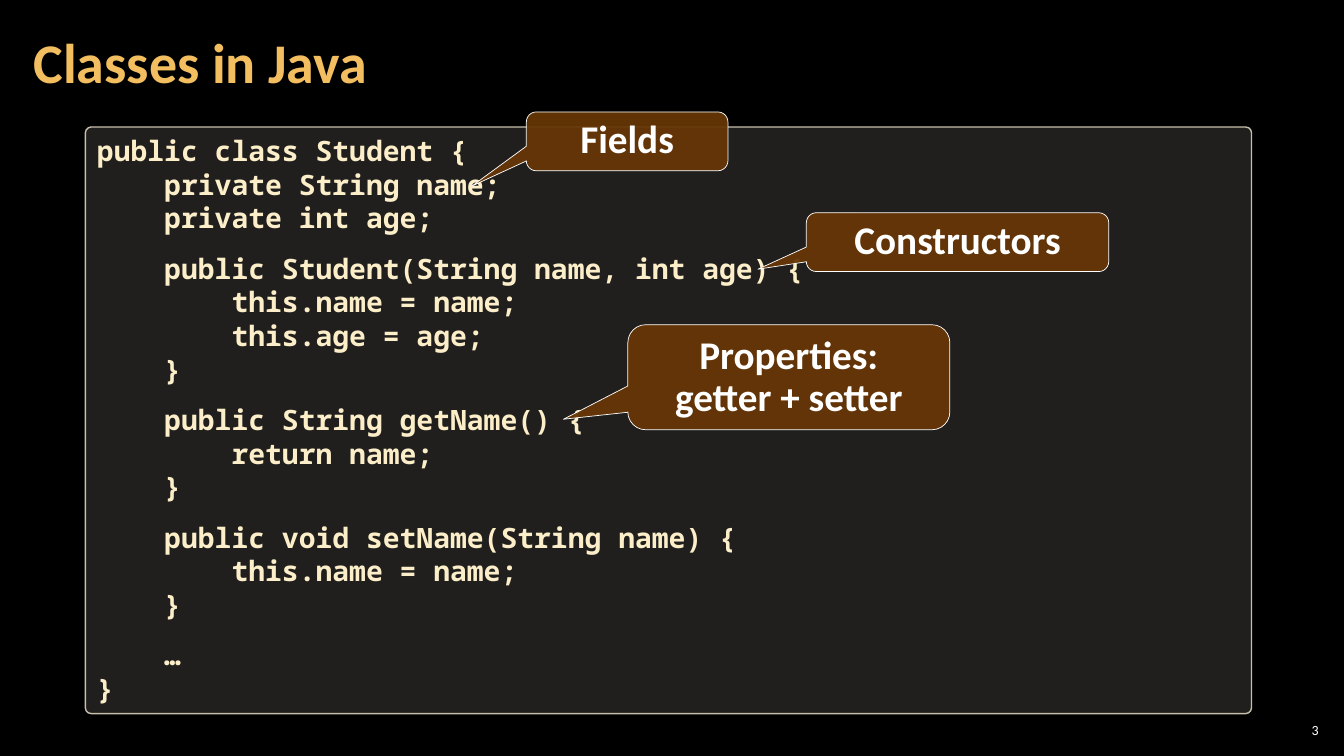
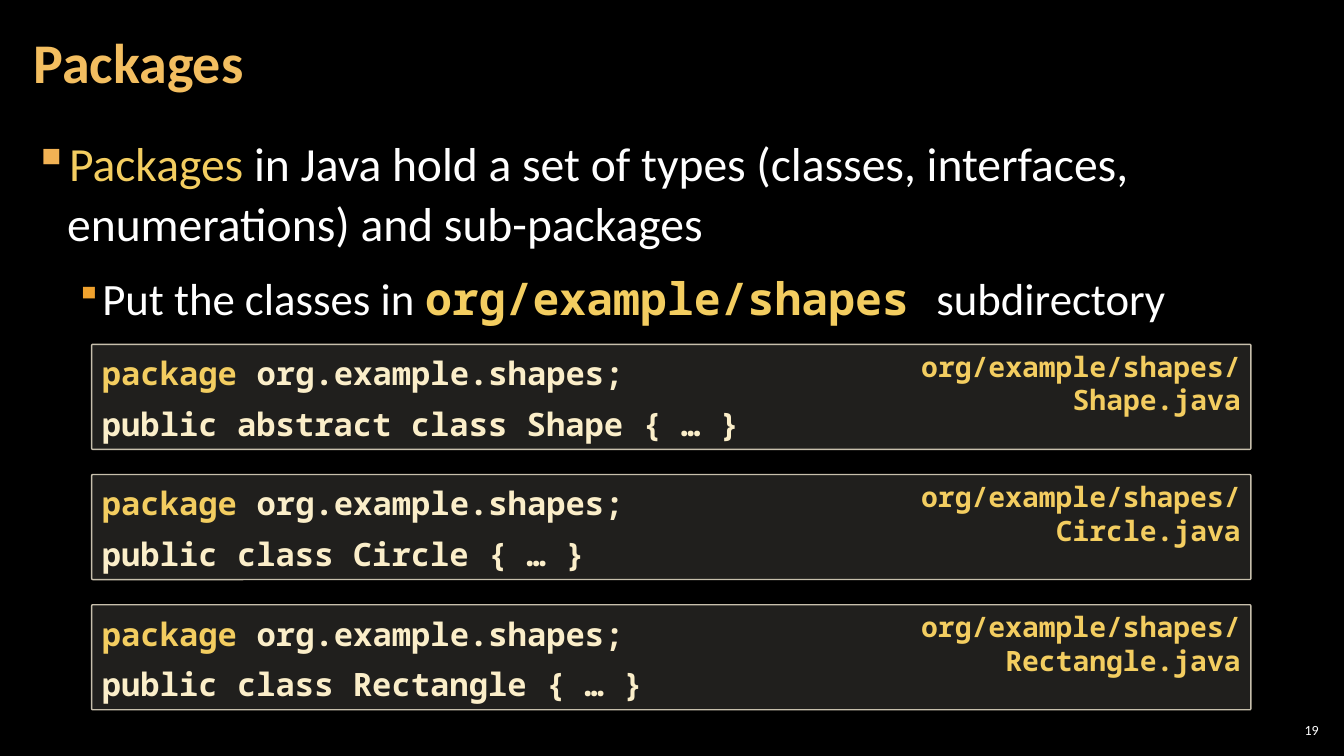
"""Build two slides on Java classes and packages."""
import dataclasses

import pptx
import pptx.dml.color
import pptx.enum.shapes
import pptx.enum.text
import pptx.oxml.ns
import pptx.util
from lxml import etree

Pt = pptx.util.Pt
ALIGN = pptx.enum.text.PP_ALIGN
ANCHOR = pptx.enum.text.MSO_ANCHOR
SHAPE = pptx.enum.shapes.MSO_SHAPE


@dataclasses.dataclass(frozen=True)
class Theme:
    background: str = "000000"
    white: str = "FFFFFF"
    title: str = "F3BE60"
    accent: str = "F3CD60"
    code: str = "FBEEC9"
    panel: str = "D9D5C7"
    panel_line: str = "C7BFAC"
    callout: str = "663606"
    bullets: tuple = ("F2B254", "F0A22E")
    text_font: str = "Calibri"
    code_font: str = "Noto Sans Mono"
    title_size: int = 40
    body_sizes: tuple = (34, 32)
    callout_size: int = 28
    snippet_size: int = 23
    code_size: int = 20
    number_size: int = 10


def apply(target, values):
    for name, value in values.items():
        setattr(target, name, value)


def add_element(parent, tag, **values):
    element = etree.SubElement(parent, pptx.oxml.ns.qn(tag))
    for name, value in values.items():
        element.set(name, value)


class SlideWriter:
    def __init__(self, deck, theme):
        self.deck = deck
        self.theme = theme
        self.page = None
        fill = deck.slide_master.background.fill
        fill.solid()
        fill.fore_color.rgb = self.color(theme.background)

    def color(self, value):
        return pptx.dml.color.RGBColor.from_string(value)

    def start(self, title, number):
        theme = self.theme
        self.page = self.deck.slides.add_slide(self.deck.slide_layouts[6])
        self.text((15, 3, 754, 87), [[(title, self.words(theme.title_size, theme.title, True))]],
                  {"line_spacing": 0.9}, self.frame(9, ANCHOR.MIDDLE))
        self.text((911, 514, 34, 15), [[(str(number), self.words(theme.number_size))]],
                  {"alignment": ALIGN.RIGHT}, self.frame(3, ANCHOR.MIDDLE))

    def frame(self, side, anchor=ANCHOR.TOP):
        return {"margin_left": Pt(side), "margin_right": Pt(side),
                "margin_top": Pt(3), "margin_bottom": Pt(3), "vertical_anchor": anchor}

    def words(self, size, color=None, bold=False):
        return {"name": self.theme.text_font, "size": Pt(size), "bold": bold,
                "color": color or self.theme.white}

    def mono(self, size, color=None):
        return {**self.words(size, color or self.theme.code, True), "name": self.theme.code_font}

    def fill_text(self, box, lines, para_format, frame_format=None):
        frame = box.text_frame
        apply(frame, {"word_wrap": True, "vertical_anchor": ANCHOR.TOP, **(frame_format or {})})
        for index, spans in enumerate(lines):
            para = frame.paragraphs[0] if index == 0 else frame.add_paragraph()
            apply(para, {"alignment": ALIGN.LEFT, **para_format})
            for words, style in spans:
                span = para.add_run()
                span.text = words
                apply(span.font, {key: style[key] for key in ("name", "size", "bold")})
                span.font.color.rgb = self.color(style["color"])
        return frame.paragraphs

    def text(self, area, lines, para_format, frame_format=None):
        box = self.page.shapes.add_textbox(*map(Pt, area))
        return self.fill_text(box, lines, para_format, frame_format)

    def shape(self, kind, area, adjustments, fill, opacity, line, weight):
        box = self.page.shapes.add_shape(kind, *map(Pt, area))
        box.shadow.inherit = False
        for index, value in enumerate(adjustments):
            box.adjustments[index] = value
        box.fill.solid()
        box.fill.fore_color.rgb = self.color(fill)
        solid = box.fill._xPr.find(pptx.oxml.ns.qn("a:solidFill"))
        add_element(solid[0], "a:alpha", val=str(opacity * 1000))
        box.line.color.rgb = self.color(line)
        box.line.width = Pt(weight)
        return box

    def panel(self, area, lines, para_format):
        theme = self.theme
        box = self.shape(SHAPE.ROUNDED_RECTANGLE, area, [0.01],
                         theme.panel, 15, theme.panel_line, 1)
        return self.fill_text(box, lines, para_format)

    def code(self, area, blocks):
        style = self.mono(self.theme.code_size)
        lines = [line for block in blocks for line in block]
        paras = self.panel(area, [[(line, style)] for line in lines], {})
        start = 0
        for block in blocks[:-1]:
            start += len(block)
            paras[start].space_before = Pt(12)

    def callout(self, area, tail, lines):
        theme = self.theme
        box = self.shape(SHAPE.ROUNDED_RECTANGULAR_CALLOUT, area, [*tail, 0.17],
                         theme.callout, 95, theme.white, 0.5)
        style = self.words(theme.callout_size, bold=True)
        self.fill_text(box, [[(line, style)] for line in lines],
                       {"alignment": ALIGN.CENTER, "line_spacing": Pt(30)})

    def bullets(self, area, lines):
        paras = self.text(area, lines, {"line_spacing": 1.05, "space_after": Pt(6)},
                          self.frame(9))
        layout = ((24, -24, 100), (48, -18, 80))
        for level, (para, (left, indent, scale)) in enumerate(zip(paras, layout)):
            para.level = level
            if level:
                para.space_before = Pt(6)
            properties = para._p.get_or_add_pPr()
            properties.set("marL", str(Pt(left)))
            properties.set("indent", str(Pt(indent)))
            add_element(properties, "a:buClr")
            add_element(properties[-1], "a:srgbClr", val=self.theme.bullets[level])
            add_element(properties, "a:buSzPct", val=str(scale * 1000))
            add_element(properties, "a:buChar", char="▪")

    def snippet(self, top, declaration, file_name):
        theme = self.theme
        left, width = 65.5, 828
        style = self.mono(theme.snippet_size)
        keyword = self.mono(theme.snippet_size, theme.accent)
        paras = self.panel((left, top, width, 75),
                           [[("package", keyword), (" org.example.shapes;", style)],
                            [(declaration, style)]], {"line_spacing": 1.1})
        paras[1].space_before = Pt(6)
        label = "org/example/shapes/" + file_name
        label_width = 12 * len(label)
        self.text((left + width - label_width, top, label_width, 32),
                  [[(label, self.mono(theme.code_size, theme.accent))]],
                  {"alignment": ALIGN.RIGHT})


def classes_slide(writer):
    writer.start("Classes in Java", 3)
    writer.code((61, 90.7, 833, 419), [
        ["public class Student {", "    private String name;", "    private int age;"],
        ["    public Student(String name, int age) {", "        this.name = name;",
         "        this.age = age;", "    }"],
        ["    public String getName() {", "        return name;", "    }"],
        ["    public void setName(String name) {", "        this.name = name;", "    }"],
        ["    …", "}"],
    ])
    for area, tail, lines in (
        ((376, 80, 144, 42), (-0.77, 0.76), ["Fields"]),
        ((576, 152, 216, 42), (-0.66, 0.46), ["Constructors"]),
        ((448.5, 232, 230, 75), (-0.7, 0.4), ["Properties:", "getter + setter"]),
    ):
        writer.callout(area, tail, lines)


def packages_slide(writer):
    theme = writer.theme
    first, second = theme.body_sizes
    writer.start("Packages", 19)
    writer.bullets((15, 90.7, 930, 438), [
        [("Packages", writer.words(first, theme.accent)),
         (" in Java hold a set of types (classes, interfaces, enumerations) and sub-packages",
          writer.words(first))],
        [("Put the classes in ", writer.words(second)),
         ("org/example/shapes ", writer.mono(second, theme.accent)),
         ("subdirectory", writer.words(second))],
    ])
    for index, (kind, name) in enumerate((("abstract class", "Shape"), ("class", "Circle"),
                                          ("class", "Rectangle"))):
        writer.snippet(246 + 93 * index, f"public {kind} {name} {{ … }}", f"{name}.java")


def main():
    deck = pptx.Presentation()
    apply(deck, {"slide_width": Pt(960), "slide_height": Pt(540)})
    writer = SlideWriter(deck, Theme())
    classes_slide(writer)
    packages_slide(writer)
    deck.save("out.pptx")


if __name__ == "__main__":
    main()
